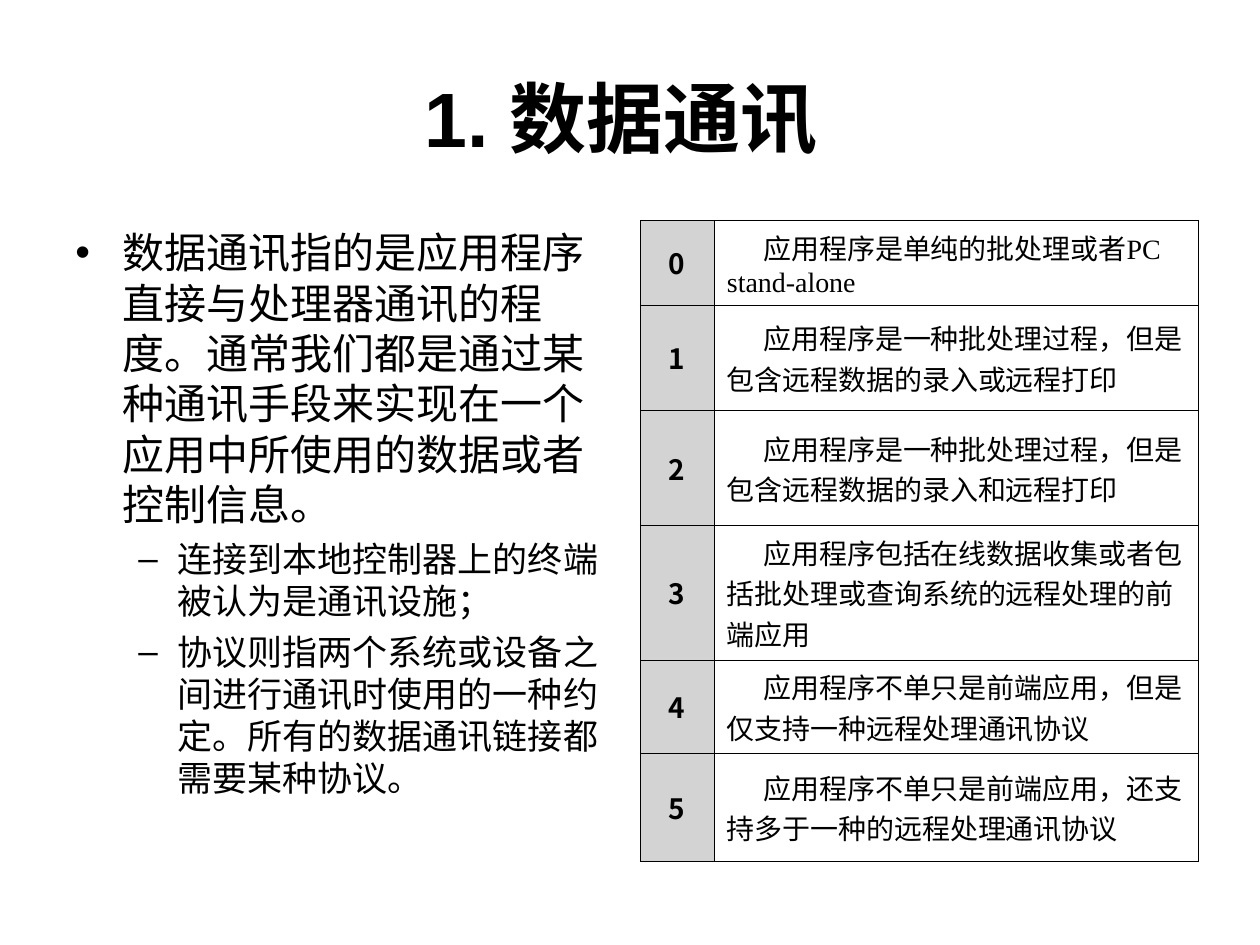
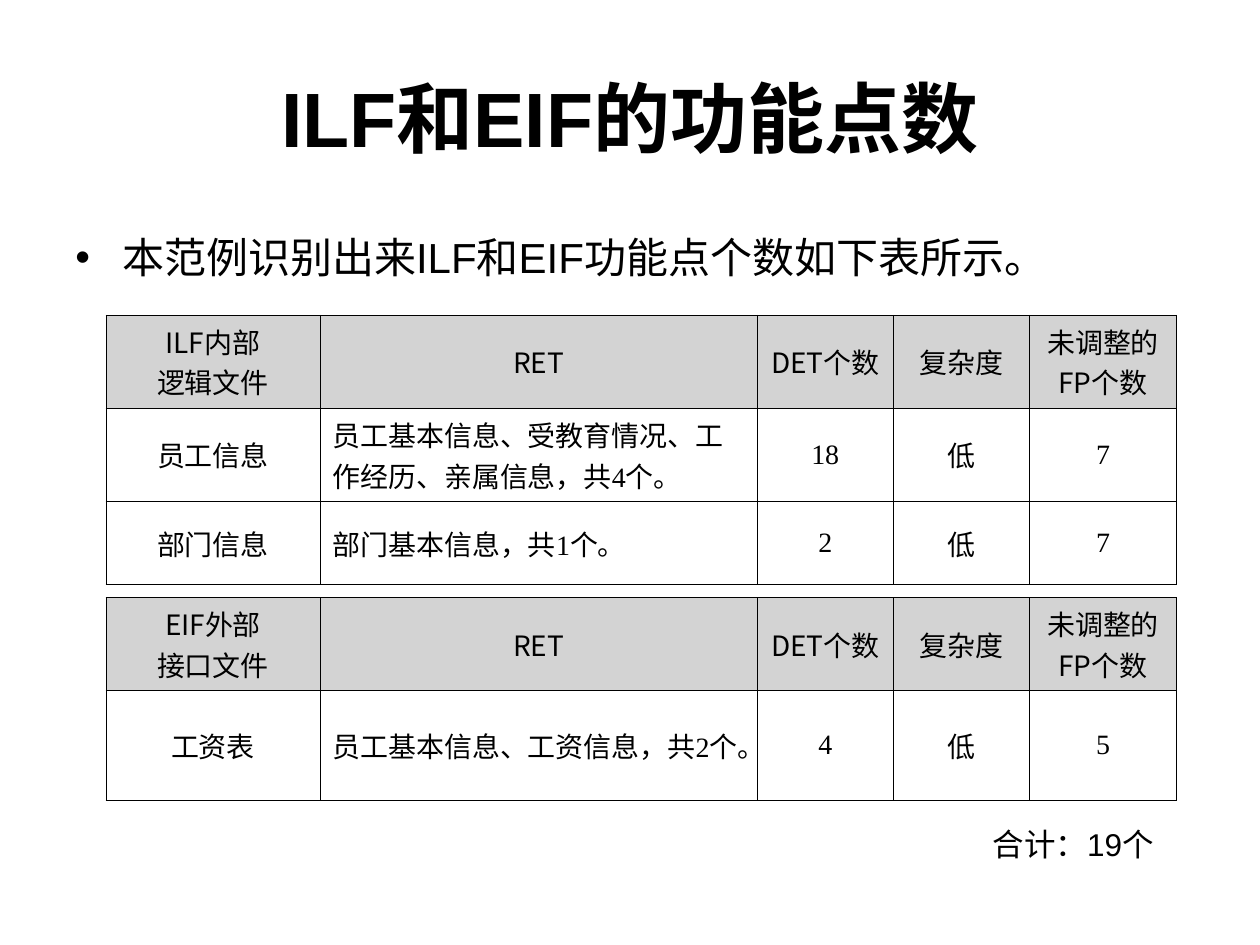
from dataclasses import dataclass

import pptx
import pptx.dml.color
import pptx.enum.text
import pptx.oxml
import pptx.oxml.ns
import pptx.util

Inches = pptx.util.Inches
Pt = pptx.util.Pt
RGB = pptx.dml.color.RGBColor
CENTER = pptx.enum.text.PP_ALIGN.CENTER
LEFT = pptx.enum.text.PP_ALIGN.LEFT
MIDDLE = pptx.enum.text.MSO_ANCHOR.MIDDLE


@dataclass(frozen=True)
class Theme:
    ink: str = "000000"
    band: str = "D3D3D3"
    sans: str = "Arial"
    serif: str = "Times New Roman"
    cjk: str = "Noto Sans CJK SC"
    title: float = 44
    bullet: float = 24
    sub_bullet: float = 20
    total: float = 18
    cell: float = 16
    border: float = 0.34


@dataclass(frozen=True)
class Box:
    left: float
    top: float
    width: float
    height: float

    def emu(self) -> tuple:
        return tuple(Inches(v) for v in (self.left, self.top, self.width, self.height))


@dataclass(frozen=True)
class Level:
    mark: str
    size: float
    margin: float
    hang: float
    before: float


@dataclass(frozen=True)
class Bullet:
    text: str
    level: int = 0


@dataclass(frozen=True)
class CellStyle:
    font: str
    bold: bool = False
    align: int = CENTER
    filled: bool = False
    indent: float = 0


@dataclass(frozen=True)
class Grid:
    left: float
    top: float
    cols: list[float]
    heights: list[float]
    rows: list[list[str]]


THEME = Theme()
LEVELS = [
    Level("•", THEME.bullet, 0.37, 0.37, 6),
    Level("–", THEME.sub_bullet, 0.81, 0.31, 5),
]
TITLE_BOX = Box(0.5, 0.3, 9, 1.25)

HEADER = CellStyle(THEME.cjk, filled=True)
SCORE = CellStyle(THEME.cjk, bold=True, filled=True)
RULE = CellStyle(THEME.serif, align=LEFT, indent=0.29)
VALUE = CellStyle(THEME.serif)
NOTE = CellStyle(THEME.serif, align=LEFT)

COMMUNICATION = [
    Bullet("数据通讯指的是应用程序直接与处理器通讯的程度。通常我们都是通过某种通讯手段来实现"
           "在一个应用中所使用的数据或者控制信息。"),
    Bullet("连接到本地控制器上的终端被认为是通讯设施；", 1),
    Bullet("协议则指两个系统或设备之间进行通讯时使用的一种约定。所有的数据通讯链接都需要某种协议。", 1),
]
SCORE_RULES = [
    "应用程序是单纯的批处理或者PC stand-alone",
    "应用程序是一种批处理过程，但是包含远程数据的录入或远程打印",
    "应用程序是一种批处理过程，但是包含远程数据的录入和远程打印",
    "应用程序包括在线数据收集或者包括批处理或查询系统的远程处理的前端应用",
    "应用程序不单只是前端应用，但是仅支持一种远程处理通讯协议",
    "应用程序不单只是前端应用，还支持多于一种的远程处理通讯协议",
]
SCORES = Grid(5.08, 1.75, [0.59, 3.84], [0.67, 0.84, 0.91, 1.07, 0.74, 0.86],
              [[str(i), rule] for i, rule in enumerate(SCORE_RULES)])

FILE_COLS = [1.7, 3.47, 1.08, 1.08, 1.17]
FILE_HEADS = ["RET", "DET个数", "复杂度", "未调整的\nFP个数"]
FILE_GRIDS = [
    Grid(0.84, 2.5, FILE_COLS, [0.74, 0.74, 0.66], [
        ["ILF内部\n逻辑文件", *FILE_HEADS],
        ["员工信息", "员工基本信息、受教育情况、工作经历、亲属信息，共4个。", "18", "低", "7"],
        ["部门信息", "部门基本信息，共1个。", "2", "低", "7"],
    ]),
    Grid(0.84, 4.74, FILE_COLS, [0.74, 0.87], [
        ["EIF外部\n接口文件", *FILE_HEADS],
        ["工资表", "员工基本信息、工资信息，共2个。", "4", "低", "5"],
    ]),
]


def xml(text: str):
    """Parse one DrawingML element, adding the namespace to its tag."""
    tag, rest = text.split(" ", 1)
    return pptx.oxml.parse_xml(f"{tag} {pptx.oxml.ns.nsdecls('a')} {rest}")


def format_runs(p, font: str, size: float, bold: bool = False) -> None:
    for r in p.runs:
        r.font.name = font
        r.font.size = Pt(size)
        r.font.bold = bold
        r.font.color.rgb = RGB.from_string(THEME.ink)
        r.font._element.append(xml(f'<a:ea typeface="{THEME.cjk}"/>'))


def add_titled_slide(prs, title: str):
    slide = prs.slides.add_slide(prs.slide_layouts[5])
    sp = slide.shapes.title
    sp.left, sp.top, sp.width, sp.height = TITLE_BOX.emu()
    tf = sp.text_frame
    tf.text = title
    tf.vertical_anchor = MIDDLE
    p = tf.paragraphs[0]
    p.alignment = CENTER
    format_runs(p, THEME.sans, THEME.title, bold=True)
    return slide


def add_bullets(slide, box: Box, bullets: list[Bullet], spacing: float) -> None:
    tf = slide.shapes.add_textbox(*box.emu()).text_frame
    tf.word_wrap = True
    for i, bullet in enumerate(bullets):
        p = tf.add_paragraph() if i else tf.paragraphs[0]
        level = LEVELS[bullet.level]
        p.text = bullet.text
        p.level = bullet.level
        p.line_spacing = spacing
        p.space_before = Pt(level.before if i else 0)
        pPr = p._p.get_or_add_pPr()
        pPr.set("marL", str(Inches(level.margin)))
        pPr.set("indent", str(-Inches(level.hang)))
        pPr.set("hangingPunct", "0")
        pPr.append(xml('<a:buFont typeface="Arial"/>'))
        pPr.append(xml(f'<a:buChar char="{level.mark}"/>'))
        format_runs(p, THEME.sans, level.size)


def add_borders(cell) -> None:
    tcPr = cell._tc.get_or_add_tcPr()
    for i, side in enumerate("LRTB"):
        tcPr.insert(i, xml(
            f'<a:ln{side} w="{Pt(THEME.border)}"><a:solidFill><a:srgbClr val="{THEME.ink}"/>'
            f'</a:solidFill></a:ln{side}>'))


def fill_cell(cell, text: str, style: CellStyle) -> None:
    cell.text_frame.text = text
    cell.vertical_anchor = MIDDLE
    if style.filled:
        cell.fill.solid()
        cell.fill.fore_color.rgb = RGB.from_string(THEME.band)
    else:
        cell.fill.background()
    add_borders(cell)
    for p in cell.text_frame.paragraphs:
        p.alignment = style.align
        if style.indent:
            p._p.get_or_add_pPr().set("indent", str(Inches(style.indent)))
        format_runs(p, style.font, THEME.cell, style.bold)


def add_grid(slide, grid: Grid, style_of) -> None:
    """Draw a table; style_of(row, column) gives each cell's style."""
    box = Box(grid.left, grid.top, sum(grid.cols), sum(grid.heights))
    table = slide.shapes.add_table(len(grid.rows), len(grid.cols), *box.emu()).table
    table.first_row = table.horz_banding = False
    for col, width in zip(table.columns, grid.cols):
        col.width = Inches(width)
    for row, height in zip(table.rows, grid.heights):
        row.height = Inches(height)
    for i, texts in enumerate(grid.rows):
        for j, text in enumerate(texts):
            fill_cell(table.cell(i, j), text, style_of(i, j))


def score_style(row: int, col: int) -> CellStyle:
    return RULE if col else SCORE


def file_style(row: int, col: int) -> CellStyle:
    if row == 0:
        return HEADER
    return NOTE if col == 1 else VALUE


def add_total(slide, box: Box, text: str) -> None:
    tf = slide.shapes.add_textbox(*box.emu()).text_frame
    tf.text = text
    tf.word_wrap = False
    tf.vertical_anchor = MIDDLE
    format_runs(tf.paragraphs[0], THEME.sans, THEME.total)


def main() -> None:
    prs = pptx.Presentation()
    prs.slide_width, prs.slide_height = Inches(10), Inches(7.5)

    slide = add_titled_slide(prs, "1. 数据通讯 ")
    add_bullets(slide, Box(0.5, 1.75, 4.42, 4.95), COMMUNICATION, 1.0)
    add_grid(slide, SCORES, score_style)

    slide = add_titled_slide(prs, "ILF和EIF的功能点数")
    add_bullets(slide, Box(0.5, 1.75, 8.58, 0.67),
                [Bullet("本范例识别出来ILF和EIF功能点个数如下表所示。")], 1.1)
    for grid in FILE_GRIDS:
        add_grid(slide, grid, file_style)
    add_total(slide, Box(7.78, 6.5, 1.65, 0.4), "合计：19个")

    prs.save("out.pptx")


if __name__ == "__main__":
    main()
